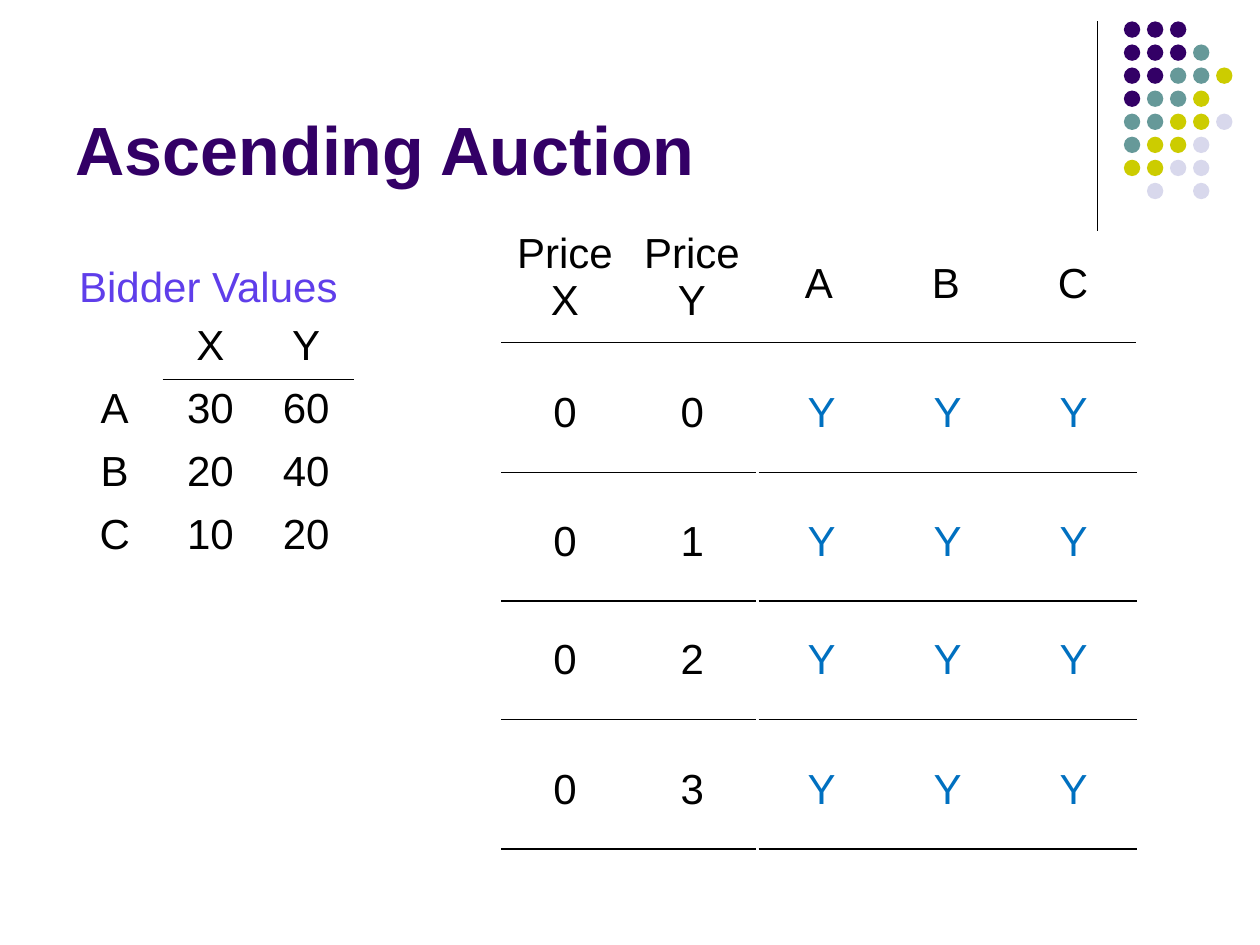
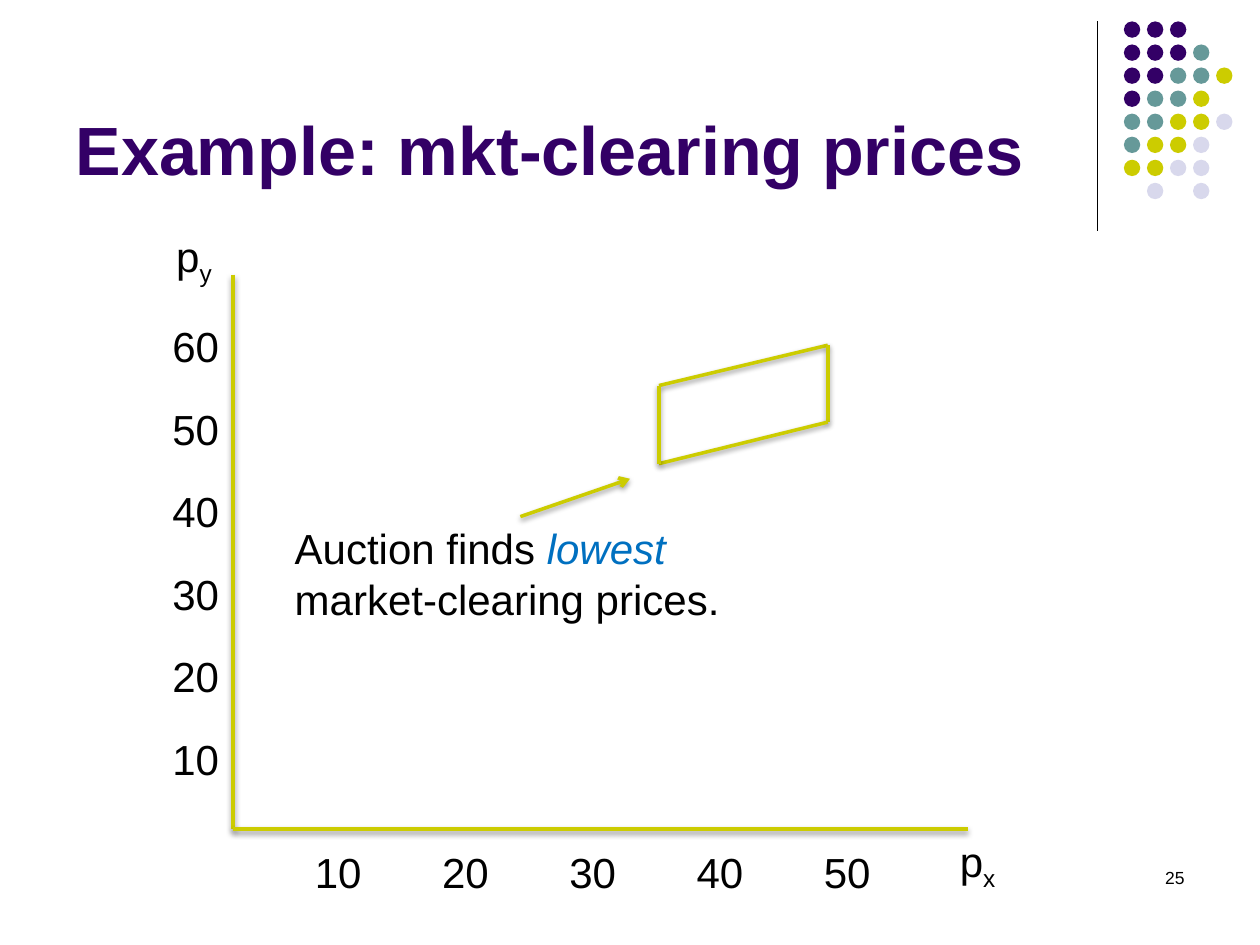
"""Builds two auction slides: bidder tables and market-clearing prices."""
import pptx
import pptx.dml.color
import pptx.enum.shapes
import pptx.enum.text
import pptx.oxml
import pptx.oxml.ns
import pptx.util

Inches = pptx.util.Inches
Pt = pptx.util.Pt
RGBColor = pptx.dml.color.RGBColor
PP_ALIGN = pptx.enum.text.PP_ALIGN
MSO_ANCHOR = pptx.enum.text.MSO_ANCHOR
MSO_AUTO_SIZE = pptx.enum.text.MSO_AUTO_SIZE

FONT = "Arial"
BLACK = RGBColor(0x00, 0x00, 0x00)
PURPLE = RGBColor(0x33, 0x00, 0x66)
TEAL = RGBColor(0x66, 0x99, 0x99)
OLIVE = RGBColor(0xCC, 0xCC, 0x00)
LAVENDER = RGBColor(0xD8, 0xD8, 0xEC)
VIOLET = RGBColor(0x5F, 0x3E, 0xEA)
BLUE = RGBColor(0x00, 0x70, 0xC0)

DOT_COLORS = {"P": PURPLE, "T": TEAL, "O": OLIVE, "L": LAVENDER}
DOT_ROWS = ["PPP", "PPPT", "PPTTO", "PTTO", "TTOOL", "TOOL", "OOLL", " L L"]
PLAIN_TABLE_STYLE = "{2D5ABB26-0587-4C30-8999-92F81FD0307C}"
NAMESPACE = pptx.oxml.ns.nsdecls("a")
SHADOW = (
    f'<a:effectLst {NAMESPACE}><a:outerShdw blurRad="40000" dist="20000" '
    'dir="5400000" rotWithShape="0"><a:srgbClr val="000000">'
    '<a:alpha val="38000"/></a:srgbClr></a:outerShdw></a:effectLst>'
)
NO_EFFECT = f"<a:effectLst {NAMESPACE}/>"
ARROWHEAD = f'<a:tailEnd {NAMESPACE} type="arrow"/>'
CELL_RULE = (
    f'<a:lnB {NAMESPACE} w="12700"><a:solidFill><a:srgbClr val="000000"/>'
    "</a:solidFill></a:lnB>"
)


def add_run(paragraph, text, color=BLACK, size=24):
    """Append a formatted run and return it."""
    run = paragraph.add_run()
    run.text = text
    run.font.name = FONT
    run.font.size = Pt(size)
    run.font.color.rgb = color
    return run


def add_label(slide, left, top, width, height=0.5, wrap=False):
    """Add an empty text box and return its first paragraph."""
    box = slide.shapes.add_textbox(
        Inches(left), Inches(top), Inches(width), Inches(height))
    box.text_frame.word_wrap = wrap
    box.text_frame.auto_size = MSO_AUTO_SIZE.SHAPE_TO_FIT_TEXT
    return box.text_frame.paragraphs[0]


def add_line(slide, start, end, color=OLIVE, width=2, effect=SHADOW):
    """Draw a straight connector between two points."""
    line = slide.shapes.add_connector(
        pptx.enum.shapes.MSO_CONNECTOR.STRAIGHT,
        *(Inches(value) for value in (*start, *end)))
    line.line.color.rgb = color
    line.line.width = Pt(width)
    line._element.spPr.append(pptx.oxml.parse_xml(effect))
    return line


def add_corner_dots(slide, left, top, pitch=0.183, diameter=0.13):
    """Draw the vertical rule and the dot pattern beside it."""
    add_line(slide, (left, top), (left, top + 1.66), BLACK, 0.75, NO_EFFECT)
    dots = slide.shapes.add_group_shape()
    for row, pattern in enumerate(DOT_ROWS):
        for column, key in enumerate(pattern):
            if key == " ":
                continue
            dot = dots.shapes.add_shape(
                pptx.enum.shapes.MSO_SHAPE.OVAL,
                Inches(left + 0.21 + column * pitch), Inches(top + row * pitch),
                Inches(diameter), Inches(diameter))
            dot.shadow.inherit = False
            dot.fill.solid()
            dot.fill.fore_color.rgb = DOT_COLORS[key]
            dot.line.fill.background()


def add_titled_slide(prs, heading):
    """Add a title-only slide with the shared title style and corner dots."""
    slide = prs.slides.add_slide(prs.slide_layouts.get_by_name("Title Only"))
    add_corner_dots(slide, 8.71, 0.17)
    title = slide.shapes.title
    title.left, title.top = Inches(0.5), Inches(0.13)
    title.width, title.height = Inches(8.25), Inches(1.42)
    frame = title.text_frame
    frame.auto_size = MSO_AUTO_SIZE.NONE
    frame.vertical_anchor = MSO_ANCHOR.BOTTOM
    frame.paragraphs[0].alignment = PP_ALIGN.LEFT
    add_run(frame.paragraphs[0], heading, PURPLE, 39).font.bold = True
    return slide


def add_grid(slide, left, top, column_width, row_height, rows, color=BLACK,
             ruled=lambda row, column: True,
             anchor=lambda column: MSO_ANCHOR.MIDDLE):
    """Add a plain centred table with rules under the chosen cells."""
    columns = len(rows[0])
    table = slide.shapes.add_table(
        len(rows), columns, Inches(left), Inches(top),
        Inches(column_width * columns), Inches(row_height * len(rows))).table
    table.first_row = table.horz_banding = False
    table._tbl.tblPr.find(
        pptx.oxml.ns.qn("a:tableStyleId")).text = PLAIN_TABLE_STYLE
    for row, values in enumerate(rows):
        for column, value in enumerate(values):
            cell = table.cell(row, column)
            cell.fill.background()
            cell.vertical_anchor = anchor(column)
            paragraph = cell.text_frame.paragraphs[0]
            paragraph.alignment = PP_ALIGN.CENTER
            if value:
                add_run(paragraph, value, color)
            else:
                paragraph.font.size = Pt(24)
            if ruled(row, column):
                cell._tc.get_or_add_tcPr().insert(
                    0, pptx.oxml.parse_xml(CELL_RULE))


def add_bidder_values(slide, left, top):
    """Place the caption and the table of what each bidder would pay."""
    add_run(add_label(slide, left, top, 2.28), "Bidder Values", VIOLET)
    values = [["", "X", "Y"], ["A", "30", "60"], ["B", "20", "40"],
              ["C", "10", "20"]]
    add_grid(slide, left, top + 0.49, 0.76, 0.47, values,
             ruled=lambda row, column: row == 0 and column > 0,
             anchor=lambda column: MSO_ANCHOR.TOP)


def add_auction_rounds(slide, left, top):
    """Place the header row, then prices and demands for each round."""
    add_grid(slide, left, top, 1.008, 0.94,
             [["Price X", "Price Y", "A", "B", "C"]],
             anchor=lambda column:
             MSO_ANCHOR.TOP if column < 2 else MSO_ANCHOR.MIDDLE)
    for price_y, offset in enumerate((1.03, 2.05, 2.99, 4.02)):
        add_grid(slide, left, top + offset, 1.01, 0.94, [["0", str(price_y)]])
        add_grid(slide, left + 2.04, top + offset, 1, 0.94, [["Y"] * 3], BLUE)


def add_axis_name(slide, left, top, subscript):
    """Label an axis with p and its subscript."""
    paragraph = add_label(slide, left, top, 0.5)
    add_run(paragraph, "p")
    lowered = add_run(paragraph, subscript)
    lowered._r.get_or_add_rPr().set("baseline", "-25000")


def add_price_axes(slide, left, top, width, height):
    """Draw both price axes with their names and tick labels."""
    bottom = top + height
    add_line(slide, (left, top), (left, bottom))
    add_line(slide, (left, bottom), (left + width, bottom))
    add_axis_name(slide, left + width - 0.16, bottom, "x")
    add_axis_name(slide, left - 0.55, top - 0.4, "y")
    for step in range(5):
        tick = add_label(slide, left + 0.55 + 1.01 * step, bottom + 0.09, 0.58)
        add_run(tick, str(10 * (step + 1)))
    for step in range(6):
        tick = add_label(slide, left - 0.58, bottom - 0.81 - 0.655 * step, 0.58)
        add_run(tick, str(10 * (step + 1)))


def add_clearing_region(slide, left, top):
    """Outline the market-clearing prices and point at the lowest corner."""
    corners = [(left, top + 0.32), (left + 1.34, top),
               (left + 1.34, top + 0.61), (left, top + 0.94)]
    for start, end in zip(corners, corners[1:] + corners[:1]):
        add_line(slide, start, end)
    pointer = add_line(slide, (left - 1.1, top + 1.36), (left - 0.23, top + 1.06))
    pointer.line._get_or_add_ln().append(pptx.oxml.parse_xml(ARROWHEAD))
    finding = add_label(slide, left - 2.99, top + 1.36, 3.78, 0.91, wrap=True)
    add_run(finding, "Auction finds ")
    add_run(finding, "lowest ", BLUE).font.italic = True
    add_run(finding, "market-clearing prices.")


def add_page_number(slide, number):
    """Place the page number at the lower right."""
    paragraph = add_label(slide, 7.17, 6.83, 2.33, wrap=True)
    paragraph.alignment = PP_ALIGN.RIGHT
    add_run(paragraph, number, size=10)


def main():
    """Build and save both slides."""
    prs = pptx.Presentation()
    prs.slide_width, prs.slide_height = Inches(10), Inches(7.5)

    auction = add_titled_slide(prs, "Ascending Auction")
    add_bidder_values(auction, 0.53, 2.02)
    add_auction_rounds(auction, 3.98, 1.78)

    prices = add_titled_slide(prs, "Example: mkt-clearing prices")
    add_price_axes(prices, 1.85, 2.18, 5.83, 4.4)
    add_clearing_region(prices, 5.23, 2.74)
    add_page_number(prices, "25")

    prs.save("out.pptx")


if __name__ == "__main__":
    main()
